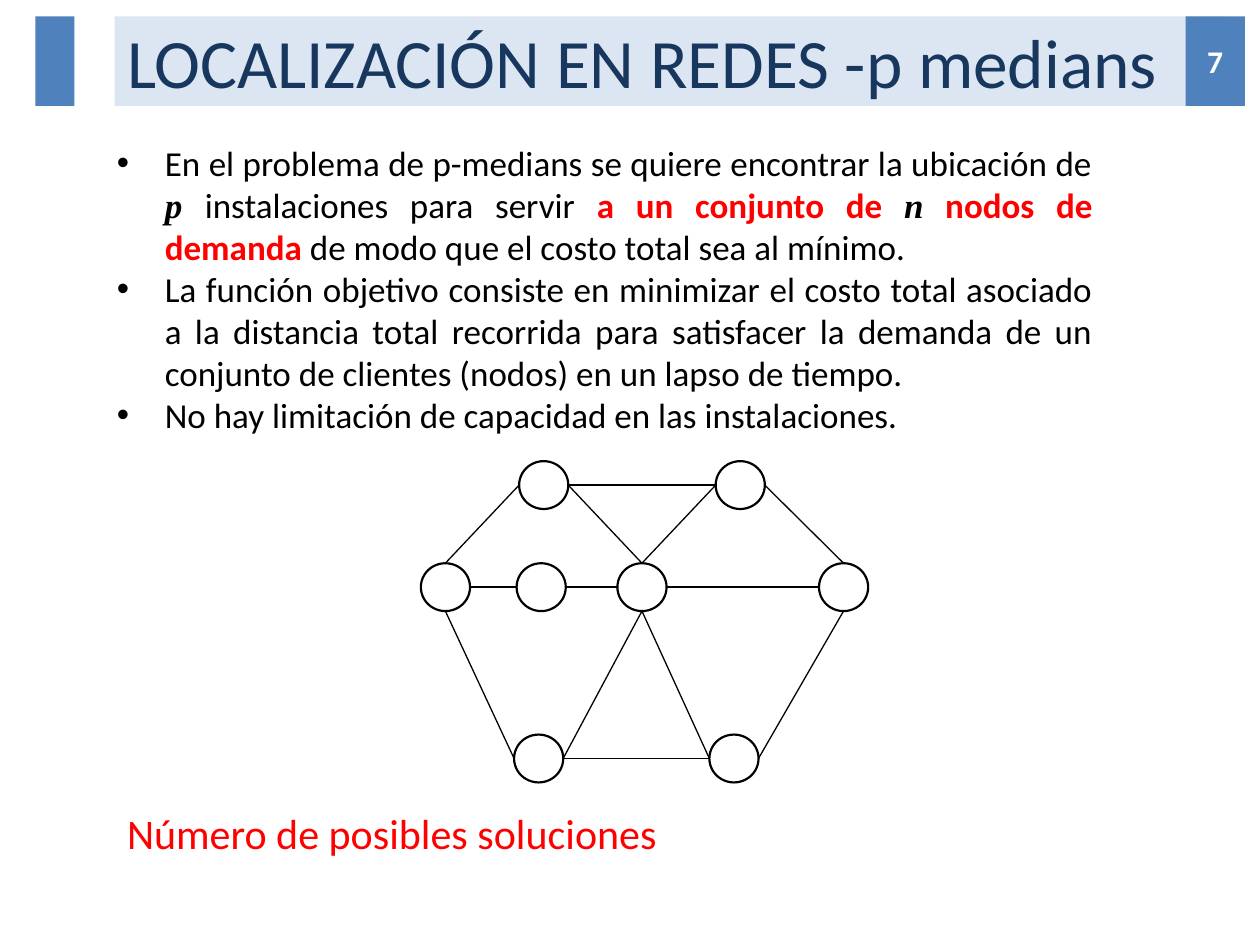
from lxml import etree
from pptx import Presentation
from pptx.dml.color import RGBColor
from pptx.enum.shapes import MSO_CONNECTOR, MSO_SHAPE
from pptx.enum.text import MSO_ANCHOR, PP_ALIGN
from pptx.oxml.ns import qn
from pptx.util import Inches, Pt

RECTANGLE = MSO_SHAPE.RECTANGLE
OVAL = MSO_SHAPE.OVAL
STRAIGHT = MSO_CONNECTOR.STRAIGHT
TOP, MIDDLE, BOTTOM = MSO_ANCHOR.TOP, MSO_ANCHOR.MIDDLE, MSO_ANCHOR.BOTTOM
LEFT, CENTER, JUSTIFY = PP_ALIGN.LEFT, PP_ALIGN.CENTER, PP_ALIGN.JUSTIFY

COLORS = {
    "pale": "DCE6F2",
    "blue": "4F81BD",
    "navy": "17375E",
    "white": "FFFFFF",
    "black": "000000",
    "red": "FF0000",
}

BODY = {"size": Pt(20), "name": "Calibri", "color": "black"}
DEMAND = {**BODY, "color": "red", "bold": True}
SYMBOL = {**BODY, "name": "Times New Roman", "bold": True, "italic": True}
TITLE = {"size": Pt(39.6), "name": "Calibri", "color": "navy"}
NUMBER = {"size": Pt(18), "name": "Calibri", "color": "white", "bold": True}
QUESTION = {"size": Pt(24), "name": "Calibri", "color": "red"}

BULLETS = [
    [
        ("En el problema de p-medians se quiere encontrar la ubicación de ", BODY),
        ("p ", SYMBOL),
        ("instalaciones para servir ", BODY),
        ("a un conjunto de ", DEMAND),
        ("n", SYMBOL),
        (" nodos de demanda ", DEMAND),
        ("de modo que el costo total sea al mínimo.", BODY),
    ],
    [
        (
            "La función objetivo consiste en minimizar el costo total asociado "
            "a la distancia total recorrida para satisfacer la demanda de un "
            "conjunto de clientes (nodos) en un lapso de tiempo.",
            BODY,
        )
    ],
    [("No hay limitación de capacidad en las instalaciones.", BODY)],
]

NODE_SIZE = (0.39, 0.38)
NODES = {
    "west": (0, 0.81),
    "inner": (0.76, 0.81),
    "hub": (1.56, 0.81),
    "east": (3.16, 0.81),
    "north_west": (0.78, 0),
    "north_east": (2.34, 0),
    "south_west": (0.74, 2.17),
    "south_east": (2.29, 2.17),
}
SIDES = {"top": (0.5, 0), "left": (0, 0.5), "bottom": (0.5, 1), "right": (1, 0.5)}
EDGES = [
    ("west", "top", "north_west", "left"),
    ("west", "right", "inner", "left"),
    ("west", "bottom", "south_west", "left"),
    ("north_west", "right", "north_east", "left"),
    ("north_west", "right", "hub", "top"),
    ("inner", "right", "hub", "left"),
    ("south_west", "right", "south_east", "left"),
    ("south_west", "right", "hub", "bottom"),
    ("hub", "right", "east", "left"),
    ("hub", "top", "north_east", "left"),
    ("hub", "bottom", "south_east", "left"),
    ("south_east", "right", "east", "bottom"),
    ("north_east", "right", "east", "top"),
]


def rgb(color):
    return RGBColor.from_string(COLORS[color])


def add_block(page, box, color):
    block = page.shapes.add_shape(RECTANGLE, *map(Inches, box))
    block.shadow.inherit = False
    block.fill.solid()
    block.fill.fore_color.rgb = rgb(color)
    block.line.fill.background()
    return block


def write(shape, paragraphs, anchor=TOP, align=LEFT):
    frame = shape.text_frame
    frame.word_wrap = True
    frame.vertical_anchor = anchor
    for index, spans in enumerate(paragraphs):
        para = frame.add_paragraph() if index else frame.paragraphs[0]
        para.alignment = align
        for text, style in spans:
            span = para.add_run()
            span.text = text
            for key, value in style.items():
                if key == "color":
                    span.font.color.rgb = rgb(value)
                else:
                    setattr(span.font, key, value)
    return frame


def add_header(page, box):
    left, top, width, height = box
    add_block(page, (left, top, 0.31, height), "blue")
    banner = add_block(page, (left + 0.63, top, 8.82, height), "pale")
    write(banner, [[("LOCALIZACIÓN EN REDES -p medians", TITLE)]], MIDDLE)
    badge = add_block(page, (left + width - 0.47, top, 0.47, height), "blue")
    frame = write(badge, [[("7", NUMBER)]], MIDDLE, CENTER)
    frame.margin_left = frame.margin_right = 0


def add_bullets(page, box):
    panel = add_block(page, box, "white")
    frame = write(panel, BULLETS, align=JUSTIFY)
    for para in frame.paragraphs:
        properties = para._p.get_or_add_pPr()
        properties.set("marL", str(Inches(0.38)))
        properties.set("indent", str(-Inches(0.38)))
        etree.SubElement(properties, qn("a:buFont")).set("typeface", "Arial")
        etree.SubElement(properties, qn("a:buChar")).set("char", "•")


def add_network(page, box):
    left, top = box[:2]
    width, height = NODE_SIZE

    def side_point(node, side):
        x, y = NODES[node]
        across, down = SIDES[side]
        return Inches(left + x + across * width), Inches(top + y + down * height)

    for x, y in NODES.values():
        circle = page.shapes.add_shape(
            OVAL, *map(Inches, (left + x, top + y, width, height))
        )
        circle.shadow.inherit = False
        circle.fill.background()
        circle.line.color.rgb = rgb("black")
        circle.line.width = Pt(1.25)

    for start, start_side, end, end_side in EDGES:
        edge = page.shapes.add_connector(
            STRAIGHT, *side_point(start, start_side), *side_point(end, end_side)
        )
        edge.line.color.rgb = rgb("black")
        edge.line.width = Pt(0.75)
        etree.SubElement(edge._element.spPr, qn("a:effectLst"))


def add_question(page, box):
    question = page.shapes.add_textbox(*map(Inches, box))
    write(question, [[("Número de posibles soluciones", QUESTION)]], BOTTOM)


def main():
    deck = Presentation()
    deck.slide_width, deck.slide_height = Inches(10), Inches(7.5)
    page = deck.slides.add_slide(deck.slide_layouts[6])
    add_header(page, (0.28, 0.13, 9.6, 0.71))
    add_bullets(page, (0.83, 1.07, 7.94, 2.46))
    add_question(page, (0.91, 5.75, 8.35, 1.11))
    add_network(page, (3.34, 3.66, 3.55, 2.55))
    deck.save("out.pptx")


if __name__ == "__main__":
    main()
